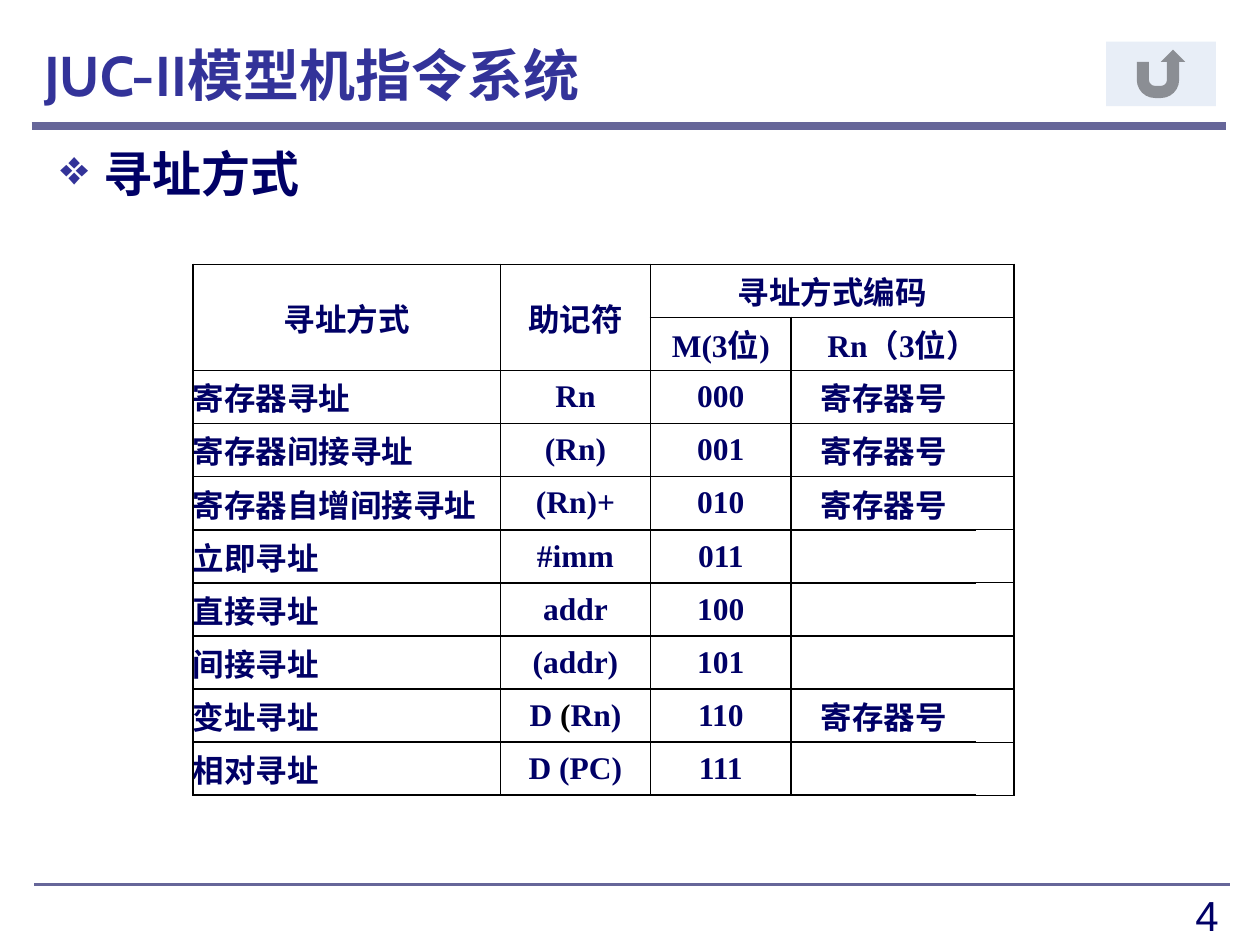
"""Build the slide on the addressing modes of the JUC-II model machine."""
from lxml.etree import SubElement
from pptx import Presentation
from pptx.dml.color import RGBColor
from pptx.enum.shapes import MSO_CONNECTOR, MSO_SHAPE
from pptx.enum.text import MSO_ANCHOR, PP_ALIGN
from pptx.oxml.ns import qn
from pptx.util import Cm, Pt

NAVY = RGBColor(0x00, 0x00, 0x66)
INDIGO = RGBColor(0x33, 0x33, 0x99)
SLATE = RGBColor(0x66, 0x66, 0x99)
PALE_BLUE = RGBColor(0xE8, 0xEE, 0xF7)
BLACK = RGBColor(0x00, 0x00, 0x00)

COLUMN_WIDTHS = (6.2, 3.02, 2.84, 3.73, 0.76)
ROW_HEIGHT = 1.07
REGISTER = "寄存器号"
MODES = (
    ("寄存器寻址", "Rn", "000", REGISTER),
    ("寄存器间接寻址", "(Rn)", "001", REGISTER),
    ("寄存器自增间接寻址", "(Rn)+", "010", REGISTER),
    ("立即寻址", "#imm", "011", ""),
    ("直接寻址", "addr", "100", ""),
    ("间接寻址", "(addr)", "101", ""),
    ("变址寻址", "D ", "110", REGISTER),
    ("相对寻址", "D (PC)", "111", ""),
)
HEADERS = (
    (0, 0, 1, 0, "寻址方式"),
    (0, 1, 1, 1, "助记符"),
    (0, 2, 0, 4, "寻址方式编码"),
    (1, 2, 1, 2, "M(3位)"),
    (1, 3, 1, 4, "Rn（3位）"),
)


class SlideBuilder:
    def __init__(self, slide):
        self.slide = slide
        self.table_font = "Times New Roman"
        self.table_size = 18

    def format_run(self, run, font, size, color, bold):
        run.font.name = font
        run.font.size = Pt(size)
        run.font.color.rgb = color
        run.font.bold = bold

    def rule(self, left, right, top, weight):
        line = self.slide.shapes.add_connector(
            MSO_CONNECTOR.STRAIGHT, Cm(left), Cm(top), Cm(right), Cm(top))
        line.line.color.rgb = SLATE
        line.line.width = Pt(weight)
        SubElement(line._element.spPr, qn("a:effectLst"))

    def text(self, box, wording, font, size, color, bold=True,
             align=PP_ALIGN.LEFT, anchor=MSO_ANCHOR.TOP):
        frame = self.slide.shapes.add_textbox(*map(Cm, box)).text_frame
        frame.word_wrap = True
        frame.vertical_anchor = anchor
        frame.text = wording
        paragraph = frame.paragraphs[0]
        paragraph.alignment = align
        self.format_run(paragraph.runs[0], font, size, color, bold)
        return paragraph

    def bullet(self, paragraph, symbol, color):
        properties = paragraph._p.get_or_add_pPr()
        properties.set("marL", str(Cm(1.2)))
        properties.set("indent", str(-Cm(0.87)))
        bullet_color = SubElement(properties, qn("a:buClr"))
        SubElement(bullet_color, qn("a:srgbClr"), val=str(color))
        SubElement(properties, qn("a:buChar"), char=symbol)

    def button(self, box, fill):
        button = self.slide.shapes.add_shape(
            MSO_SHAPE.ACTION_BUTTON_RETURN, *map(Cm, box))
        button.shadow.inherit = False
        button.fill.solid()
        button.fill.fore_color.rgb = fill
        button.line.fill.background()

    def table(self, left, top, rows):
        table = self.slide.shapes.add_table(
            rows, len(COLUMN_WIDTHS), Cm(left), Cm(top),
            Cm(sum(COLUMN_WIDTHS)), Cm(rows * ROW_HEIGHT)).table
        table.first_row = table.horz_banding = False
        for column, width in zip(table.columns, COLUMN_WIDTHS):
            column.width = Cm(width)
        for row in table.rows:
            row.height = Cm(ROW_HEIGHT)
        return table

    def borders(self, cell, weights):
        properties = cell._tc.get_or_add_tcPr()
        for side, weight in zip("LRTB", weights):
            border = SubElement(properties, qn(f"a:ln{side}"), w=str(Pt(weight)))
            if weight:
                fill = SubElement(border, qn("a:solidFill"))
                SubElement(fill, qn("a:srgbClr"), val=str(BLACK))
            else:
                SubElement(border, qn("a:noFill"))

    def cell(self, cell, weights):
        cell.margin_left = cell.margin_right = 0
        cell.margin_top = cell.margin_bottom = 0
        cell.vertical_anchor = MSO_ANCHOR.MIDDLE
        self.borders(cell, weights)
        cell.fill.background()

    def cell_text(self, cell, wording, align=PP_ALIGN.CENTER):
        paragraph = cell.text_frame.paragraphs[0]
        paragraph.text = wording
        paragraph.alignment = align
        for run in paragraph.runs:
            self.format_run(run, self.table_font, self.table_size, NAVY, True)
        return paragraph

    def cell_run(self, paragraph, wording, color):
        run = paragraph.add_run()
        run.text = wording
        self.format_run(run, self.table_font, self.table_size, color, True)


def add_modes_table(builder):
    header_rows = 2
    table = builder.table(3.89, 5.33, header_rows + len(MODES))
    for row in range(len(table.rows)):
        for column in range(len(COLUMN_WIDTHS)):
            weights = (1, 1, 1, 1)
            if row >= header_rows and column == 3:
                weights = (1, 0, 1, 1)
            elif row >= header_rows and column == 4:
                weights = (0, 0.75, 1 if row == header_rows else 0.75, 0.75)
            builder.cell(table.cell(row, column), weights)

    for top, left, bottom, right, heading in HEADERS:
        cell = table.cell(top, left)
        if (top, left) != (bottom, right):
            cell.merge(table.cell(bottom, right))
        builder.cell_text(cell, heading)

    for row, mode in enumerate(MODES, header_rows):
        for column, wording in enumerate(mode):
            align = PP_ALIGN.CENTER if column else PP_ALIGN.JUSTIFY
            paragraph = builder.cell_text(table.cell(row, column), wording, align)
            if wording == "D ":
                builder.cell_run(paragraph, "(", BLACK)
                builder.cell_run(paragraph, "Rn)", NAVY)


def main():
    presentation = Presentation()
    presentation.slide_width = Cm(25.4)
    presentation.slide_height = Cm(19.05)
    builder = SlideBuilder(
        presentation.slides.add_slide(presentation.slide_layouts[6]))

    builder.rule(0.64, 24.71, 2.54, 4.5)
    builder.rule(0.69, 24.79, 17.83, 1.5)
    builder.text((18.9, 17.81, 5.92, 1.12), "4", "Arial", 24, NAVY,
                 bold=False, align=PP_ALIGN.RIGHT)
    builder.text((0.64, 0.64, 24.08, 1.7), "JUC-II模型机指令系统",
                 "Cabin", 32, INDIGO, anchor=MSO_ANCHOR.MIDDLE)
    topic = builder.text((0.64, 2.77, 24.08, 15.16), "寻址方式",
                         "Arial", 28, NAVY)
    builder.bullet(topic, "❖", INDIGO)
    add_modes_table(builder)
    builder.button((22.3, 0.84, 2.21, 1.3), PALE_BLUE)

    presentation.save("out.pptx")


if __name__ == "__main__":
    main()
